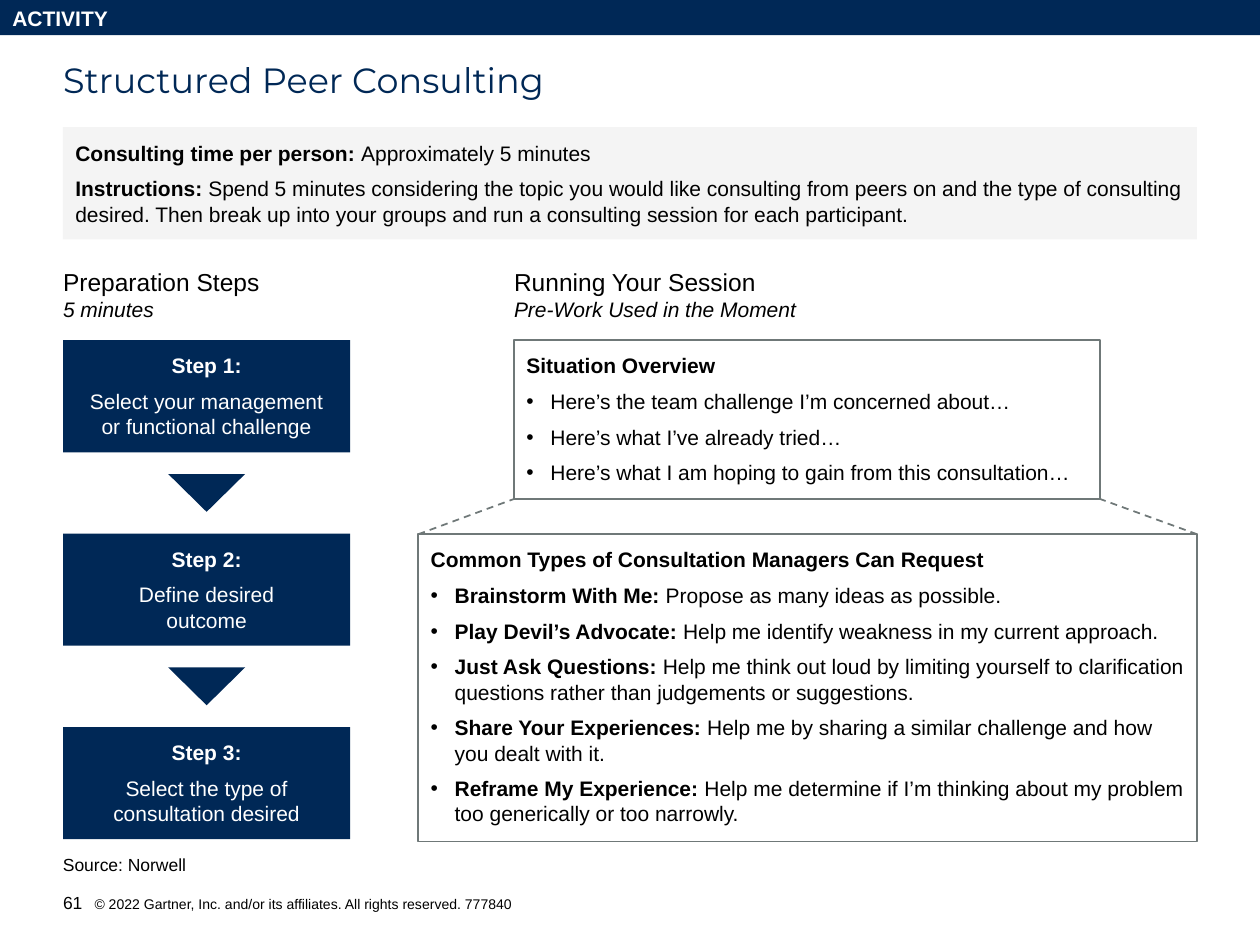
from dataclasses import dataclass

from lxml import etree
from pptx import Presentation
from pptx import util as u
from pptx.dml.color import RGBColor
from pptx.enum import dml, shapes, text
from pptx.oxml.ns import qn


@dataclass(frozen=True)
class Theme:
    navy: str = "002856"
    gray: str = "6F7878"
    panel: str = "F4F4F4"
    white: str = "FFFFFF"
    black: str = "000000"
    font: str = "Arial"
    title_font: str = "Montserrat"
    title: int = 20
    heading: int = 14
    body: int = 12
    source: int = 10
    legal: int = 8


THEME = Theme()

BANNER = "ACTIVITY"
TITLE = "Structured Peer Consulting"
INTRO = [
    ("Consulting time per person: ", "Approximately 5 minutes"),
    ("Instructions: ",
     "Spend 5 minutes considering the topic you would like consulting from peers on "
     "and the type of consulting desired. Then break up into your groups and run a "
     "consulting session for each participant."),
]
HEADINGS = [  # left, width, heading, subheading
    (0.5, 2.28, "Preparation Steps", "5 minutes"),
    (4.08, 2.67, "Running Your Session", "Pre-Work Used in the Moment"),
]
STEPS = [
    ("Step 1:", "Select your management\vor functional challenge"),
    ("Step 2:", "Define desired\voutcome"),
    ("Step 3:", "Select the type of\vconsultation desired"),
]
LISTS = [  # box, heading, items of (bold lead, text)
    ((4.08, 2.7, 4.65, 1.26), "Situation Overview", [
        ("", "Here’s the team challenge I’m concerned about…"),
        ("", "Here’s what I’ve already tried…"),
        ("", "Here’s what I am hoping to gain from this consultation…"),
    ]),
    ((3.32, 4.24, 6.18, 2.44), "Common Types of Consultation Managers Can Request", [
        ("Brainstorm With Me: ", "Propose as many ideas as possible."),
        ("Play Devil’s Advocate: ", "Help me identify weakness in my current approach."),
        ("Just Ask Questions: ",
         "Help me think out loud by limiting yourself to clarification questions "
         "rather than judgements or suggestions."),
        ("Share Your Experiences: ",
         "Help me by sharing a similar challenge and how you dealt with it."),
        ("Reframe My Experience: ",
         "Help me determine if I’m thinking about my problem too generically "
         "or too narrowly."),
    ]),
]
SOURCE = "Source: Norwell"
PAGE_NUMBER = "61"
COPYRIGHT = "\t© 2022 Gartner, Inc. and/or its affiliates. All rights reserved. 777840"

STEP_BOX = (0.5, 2.7, 2.28, 0.89)
STEP_PITCH = 1.535
ARROW_WIDTH, ARROW_HEIGHT = 0.61, 0.3
INSETS = (0.1, 0.1, 0.1, 0.1)


def place(box):
    return [u.Inches(value) for value in box]


def rgb(color):
    return RGBColor.from_string(color)


def set_frame(shape, insets=INSETS, anchor=text.MSO_ANCHOR.TOP):
    frame = shape.text_frame
    frame.word_wrap = True
    frame.auto_size = text.MSO_AUTO_SIZE.NONE
    frame.vertical_anchor = anchor
    (frame.margin_left, frame.margin_top,
     frame.margin_right, frame.margin_bottom) = place(insets)


def write(shape, *runs, size=THEME.body, color=THEME.black, font=THEME.font,
          align=text.PP_ALIGN.LEFT, after=0, hanging=0, bullet=False):
    """Add one paragraph; each run is a string or (string, run font settings)."""
    frame = shape.text_frame
    paragraph = frame.paragraphs[0]
    if paragraph.runs:
        paragraph = frame.add_paragraph()
    paragraph.alignment = align
    paragraph.space_after = u.Pt(after)
    if hanging:
        properties = paragraph._p.get_or_add_pPr()
        properties.set("marL", str(u.Inches(hanging)))
        properties.set("indent", str(-u.Inches(hanging)))
        if bullet:
            etree.SubElement(properties, qn("a:buFont")).set("typeface", THEME.font)
            etree.SubElement(properties, qn("a:buChar")).set("char", "•")
    for entry in runs:
        words, settings = (entry, {}) if isinstance(entry, str) else entry
        for index, line in enumerate(words.split("\v")):
            if index:
                paragraph.add_line_break()
            run = paragraph.add_run()
            run.text = line
            run.font.name = font
            run.font.size = u.Pt(size)
            run.font.color.rgb = rgb(color)
            for name, value in settings.items():
                setattr(run.font, name, value)
    return paragraph


def bold(words):
    return words, {"bold": True}


def paint(shape, fill=None, line=None):
    shape.shadow.inherit = False
    if fill:
        shape.fill.solid()
        shape.fill.fore_color.rgb = rgb(fill)
    else:
        shape.fill.background()
    if line:
        shape.line.color.rgb = rgb(line)
        shape.line.width = u.Pt(1)
    else:
        shape.line.fill.background()


def add_box(slide, box, fill=None, line=None, **frame):
    shape = slide.shapes.add_shape(shapes.MSO_SHAPE.RECTANGLE, *place(box))
    paint(shape, fill, line)
    set_frame(shape, **frame)
    return shape


def add_text(slide, box, **frame):
    shape = slide.shapes.add_textbox(*place(box))
    set_frame(shape, **frame)
    return shape


def add_down_arrow(slide, center, top):
    half = ARROW_WIDTH / 2
    points = [(center - half, top), (center + half, top), (center, top + ARROW_HEIGHT)]
    points = [place(point) for point in points]
    builder = slide.shapes.build_freeform(*points[0])
    builder.add_line_segments(points[1:], close=True)
    paint(builder.convert_to_shape(), THEME.navy)


def add_dashed_line(slide, start, end):
    line = slide.shapes.add_connector(shapes.MSO_CONNECTOR.STRAIGHT, *place(start + end))
    line.line.color.rgb = rgb(THEME.gray)
    line.line.width = u.Pt(1)
    line.line.dash_style = dml.MSO_LINE.DASH
    etree.SubElement(line._element.spPr, qn("a:effectLst"))


def add_steps(slide):
    left, first_top, width, height = STEP_BOX
    gap = STEP_PITCH - height
    for index, (label, task) in enumerate(STEPS):
        top = first_top + index * STEP_PITCH
        if index:
            add_down_arrow(slide, left + width / 2, top - (gap + ARROW_HEIGHT) / 2)
        step = add_box(slide, (left, top, width, height), THEME.navy)
        style = {"color": THEME.white, "align": text.PP_ALIGN.CENTER}
        write(step, bold(label), after=6, **style)
        write(step, task, **style)


def add_lists(slide):
    for box, heading, items in LISTS:
        panel = add_box(slide, box, line=THEME.gray)
        write(panel, bold(heading), after=6)
        for lead, words in items:
            runs = [bold(lead), words] if lead else [words]
            write(panel, *runs, after=6, hanging=0.19, bullet=True)
    (left, top, width, height), (low_left, low_top, low_width, _) = [
        entry[0] for entry in LISTS]
    bottom = top + height
    add_dashed_line(slide, (low_left, low_top), (left, bottom))
    add_dashed_line(slide, (low_left + low_width, low_top), (left + width, bottom))


def main():
    presentation = Presentation()
    presentation.slide_width, presentation.slide_height = place((10, 7.5))
    slide = presentation.slides.add_slide(presentation.slide_layouts[5])

    title = slide.shapes.title
    title.left, title.top, title.width, title.height = place((0.5, 0.5, 9, 0.25))
    set_frame(title, insets=(0, 0, 0, 0))
    write(title, TITLE, size=THEME.title, color=THEME.navy,
          font=THEME.title_font, after=9).line_spacing = 0.9

    middle = text.MSO_ANCHOR.MIDDLE
    banner = add_box(slide, (0, 0, 10, 0.28), THEME.navy,
                     insets=(0.1, 0, 0.1, 0), anchor=middle)
    write(banner, bold(BANNER), color=THEME.white)

    intro = add_box(slide, (0.5, 1.01, 9, 0.89), THEME.panel, anchor=middle)
    for lead, words in INTRO:
        write(intro, bold(lead), words, after=6)

    for left, width, heading, subheading in HEADINGS:
        block = add_text(slide, (left, 2.02, width, 0.64), insets=(0, 0.1, 0, 0.1))
        write(block, heading, size=THEME.heading)
        write(block, (subheading, {"italic": True}))

    add_steps(slide)
    add_lists(slide)

    source = add_text(slide, (0.5, 6.68, 9, 0.27), insets=(0, 0.1, 0, 0))
    write(source, SOURCE, size=THEME.source)
    footer = add_text(slide, (0.5, 7.08, 5.99, 0.17), insets=(0, 0, 0, 0),
                      anchor=text.MSO_ANCHOR.BOTTOM)
    write(footer, PAGE_NUMBER, (COPYRIGHT, {"size": u.Pt(THEME.legal)}),
          size=THEME.source, hanging=0.25)

    presentation.save("out.pptx")


if __name__ == "__main__":
    main()
